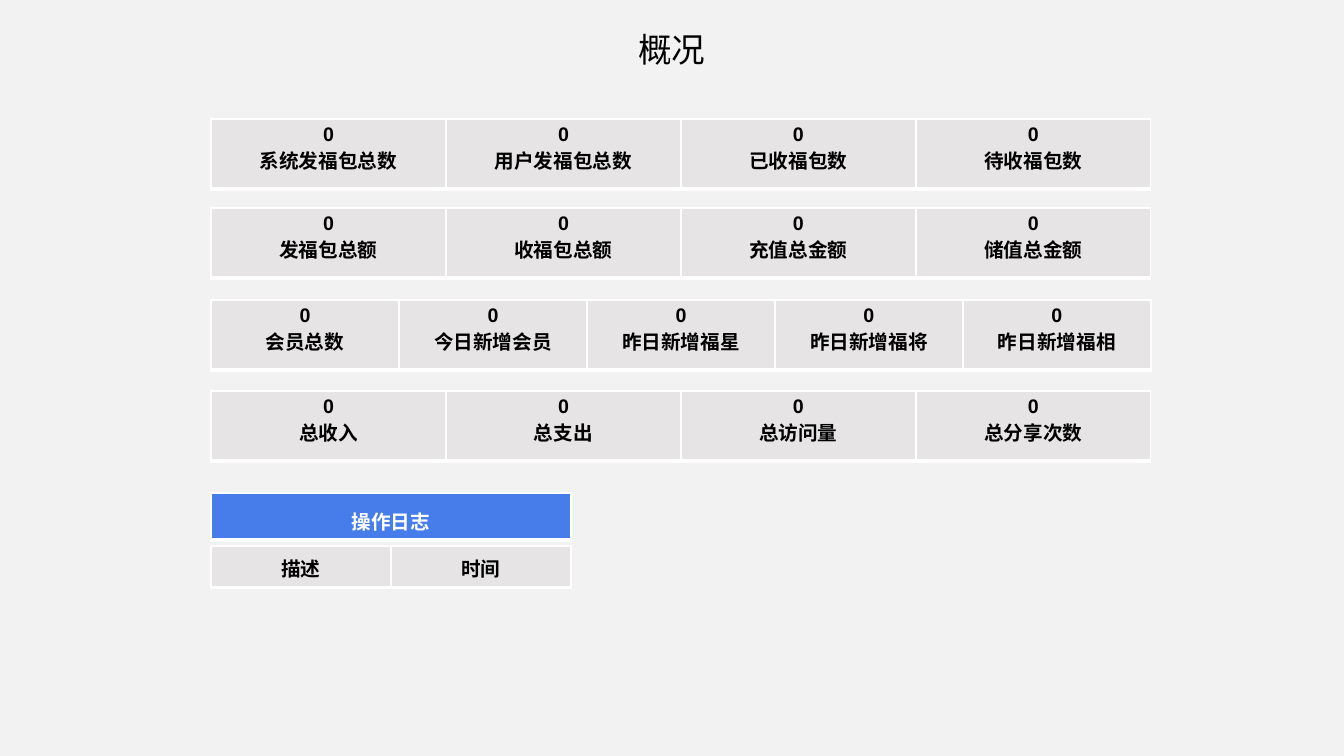
import dataclasses

import lxml.etree
import pptx
import pptx.dml.color
import pptx.enum.text
import pptx.oxml.ns
import pptx.util

PIXEL = 914400 / 100.8
COLORS = {"page": "F2F2F2", "cell": "E6E4E4", "header": "477DEA",
          "text": "000000", "border": "FFFFFF", "header_text": "FFFFFF"}
BORDERS = {"lnL": 1, "lnR": 1, "lnT": 1, "lnB": 3}
LEFT, STATS_WIDTH, LOG_WIDTH = 211, 940, 360


@dataclasses.dataclass
class Strip:
    """A one-row table; each cell is a list of lines."""
    top: int
    width: int
    height: int
    cells: list[list[str]]
    fill: str = "cell"
    ink: str = "text"
    spacing: float = 1.0


def px(value: float) -> pptx.util.Emu:
    return pptx.util.Emu(round(value * PIXEL))


def rgb(name: str) -> pptx.dml.color.RGBColor:
    return pptx.dml.color.RGBColor.from_string(COLORS[name])


def set_all(target, values: dict) -> None:
    for name, value in values.items():
        setattr(target, name, value)


def write(para, text: str, size: int, bold: bool, ink: str, spacing: float = 1.0) -> None:
    set_all(para, {"alignment": pptx.enum.text.PP_ALIGN.CENTER, "line_spacing": spacing})
    span = para.add_run()
    span.text = text
    set_all(span.font, {"name": "Arial", "size": pptx.util.Pt(size), "bold": bold})
    span.font.color.rgb = rgb(ink)


def add_borders(cell) -> None:
    properties = cell._tc.get_or_add_tcPr()
    qn = pptx.oxml.ns.qn
    for position, (side, points) in enumerate(BORDERS.items()):
        line = lxml.etree.Element(qn(f"a:{side}"), w=str(pptx.util.Pt(points)))
        fill = lxml.etree.SubElement(line, qn("a:solidFill"))
        lxml.etree.SubElement(fill, qn("a:srgbClr"), val=COLORS["border"])
        properties.insert(position, line)


def add_strip(page, strip: Strip) -> None:
    count = len(strip.cells)
    table = page.shapes.add_table(1, count, px(LEFT), px(strip.top),
                                  px(strip.width), px(strip.height)).table
    set_all(table, {"first_row": False, "horz_banding": False})
    for column, lines in enumerate(strip.cells):
        table.columns[column].width = px(strip.width / count)
        cell = table.cell(0, column)
        cell.fill.solid()
        cell.fill.fore_color.rgb = rgb(strip.fill)
        add_borders(cell)
        for index, text in enumerate(lines):
            frame = cell.text_frame
            para = frame.add_paragraph() if index else frame.paragraphs[0]
            write(para, text, 14, True, strip.ink, strip.spacing)


# Page
deck = pptx.Presentation()
set_all(deck, {"slide_width": px(1344), "slide_height": px(756)})
page = deck.slides.add_slide(deck.slide_layouts[5])
page.background.fill.solid()
page.background.fill.fore_color.rgb = rgb("page")

# Title
title = page.shapes.title
set_all(title, {"left": px(570), "top": px(24), "width": px(204), "height": px(51)})
set_all(title.text_frame, {"word_wrap": True,
                           "auto_size": pptx.enum.text.MSO_AUTO_SIZE.NONE,
                           "vertical_anchor": pptx.enum.text.MSO_ANCHOR.MIDDLE})
write(title.text_frame.paragraphs[0], "概况", 24, False, "text")

# Statistics, all counting zero
STATISTICS = {
    119: ["系统发福包总数", "用户发福包总数", "已收福包数", "待收福包数"],
    208: ["发福包总额", "收福包总额", "充值总金额", "储值总金额"],
    300: ["会员总数", "今日新增会员", "昨日新增福星", "昨日新增福将", "昨日新增福相"],
    391: ["总收入", "总支出", "总访问量", "总分享次数"],
}
for top, labels in STATISTICS.items():
    add_strip(page, Strip(top, STATS_WIDTH, 70, [["0", label] for label in labels]))

# Operation log
add_strip(page, Strip(493, LOG_WIDTH, 47, [["操作日志"]], "header", "header_text", 1.3))
add_strip(page, Strip(546, LOG_WIDTH, 40, [["描述"], ["时间"]], spacing=1.1))

deck.save("out.pptx")
